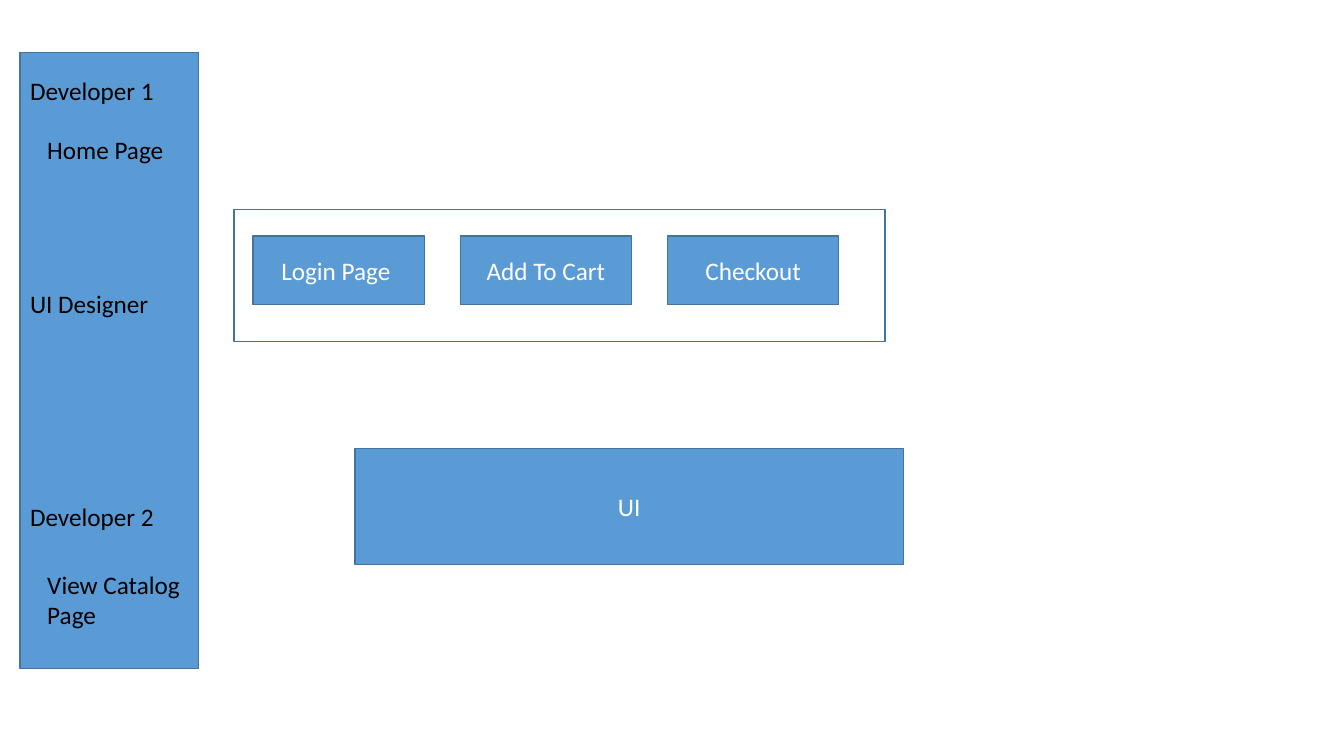
import pptx
import pptx.dml.color
import pptx.enum.shapes
import pptx.enum.text
import pptx.util

Inches = pptx.util.Inches
HUES = {"fill": "5B9BD5", "line": "43739E", "dark": "000000", "light": "FFFFFF"}


def color(name):
    """Return the named colour."""
    return pptx.dml.color.RGBColor.from_string(HUES[name])


def style(frame, text, hue):
    """Write text into a frame and format its runs."""
    frame.word_wrap = True
    frame.text = text
    for run in frame.paragraphs[0].runs:
        run.font.name = "Calibri"
        run.font.size = pptx.util.Pt(18)
        run.font.color.rgb = color(hue)


def block(slide, x, y, w, h, text="", solid=True):
    """Draw an outlined rectangle with optional fill and centred text."""
    kind = pptx.enum.shapes.MSO_SHAPE.RECTANGLE
    box = slide.shapes.add_shape(kind, Inches(x), Inches(y), Inches(w), Inches(h))
    box.shadow.inherit = False
    if solid:
        box.fill.solid()
        box.fill.fore_color.rgb = color("fill")
    else:
        box.fill.background()
    box.line.color.rgb = color("line")
    box.line.width = pptx.util.Pt(1)
    if text:
        style(box.text_frame, text, "light")
        box.text_frame.vertical_anchor = pptx.enum.text.MSO_ANCHOR.MIDDLE
        box.text_frame.paragraphs[0].alignment = pptx.enum.text.PP_ALIGN.CENTER


def label(slide, x, y, w, h, text):
    """Place a dark text label."""
    box = slide.shapes.add_textbox(Inches(x), Inches(y), Inches(w), Inches(h))
    style(box.text_frame, text, "dark")


def team(slide, x, y, w, h):
    """Draw the side bar with the roles and their pages."""
    block(slide, x, y, w, h)
    for top, role in ((0.18, "Developer 1"), (2.29, "UI Designer"), (4.4, "Developer 2")):
        label(slide, x, y + top, w + 0.19, 0.4, role)
    label(slide, x + 0.17, y + 0.76, 1.45, 0.4, "Home Page")
    label(slide, x + 0.17, y + 5.08, 1.61, 0.71, "View Catalog Page")


def pages(slide, x, y, w, h):
    """Draw the frame with its row of page buttons."""
    for i, name in enumerate(("Login Page ", "Add To Cart", "Checkout")):
        block(slide, x + 0.19 + i * 2.055, y + 0.26, 1.7, 0.68, name)
    block(slide, x, y, w, h, solid=False)


def main():
    """Build and save the slide."""
    deck = pptx.Presentation()
    deck.slide_width, deck.slide_height = Inches(13.33), Inches(7.5)
    slide = deck.slides.add_slide(deck.slide_layouts[6])
    team(slide, 0.2, 0.52, 1.77, 6.11)
    pages(slide, 2.32, 2.08, 6.46, 1.31)
    block(slide, 3.52, 4.45, 5.44, 1.15, "UI")
    deck.save("out.pptx")


if __name__ == "__main__":
    main()
